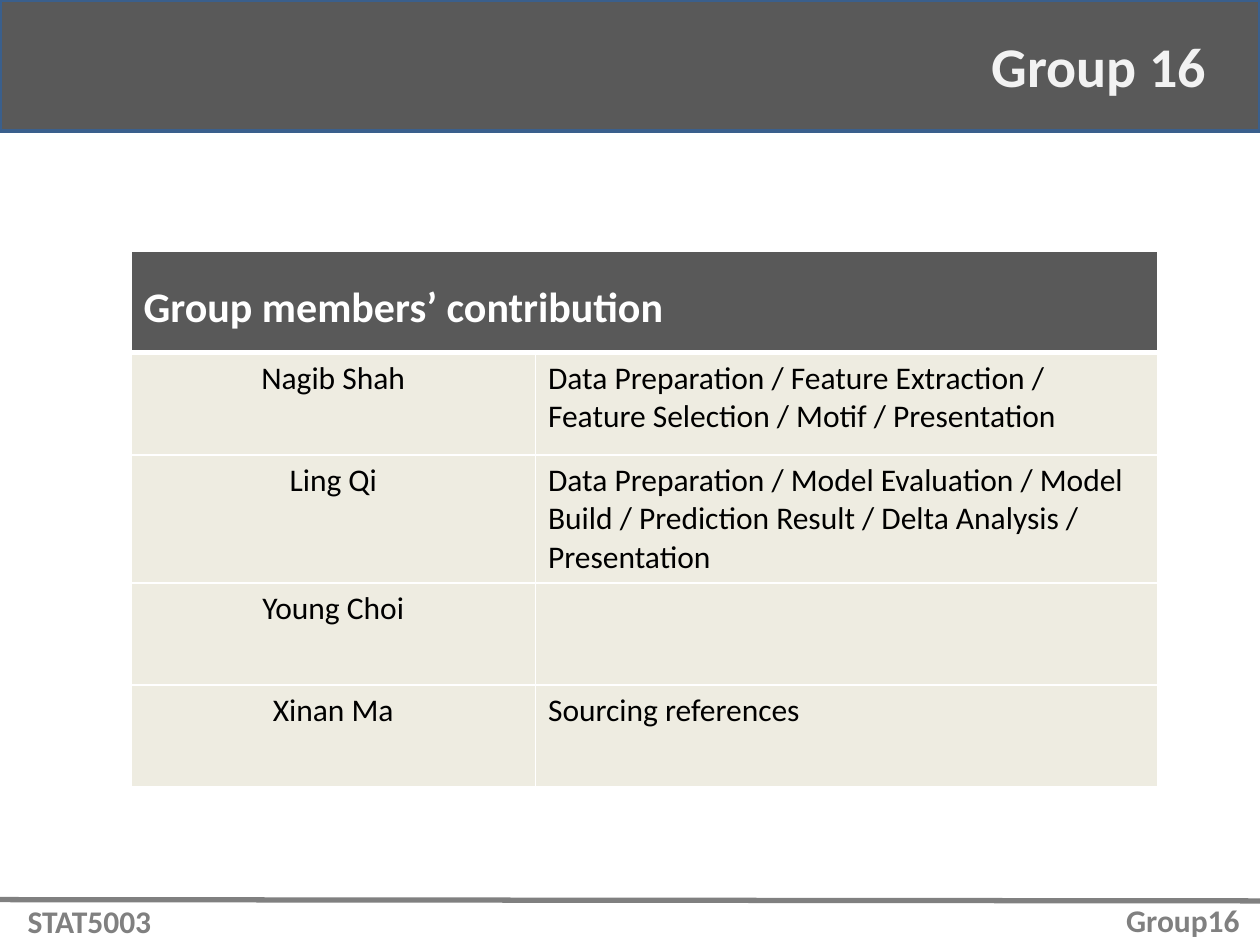
from lxml.etree import SubElement
from pptx import Presentation
from pptx.dml.color import RGBColor
from pptx.enum.shapes import MSO_CONNECTOR, MSO_SHAPE
from pptx.enum.text import MSO_ANCHOR, MSO_AUTO_SIZE, PP_ALIGN
from pptx.oxml import parse_xml
from pptx.oxml.ns import nsdecls, qn
from pptx.util import Inches, Pt

DARK, GREY, CREAM, WHITE = "595959", "808080", "EEECE1", "FFFFFF"
MEMBERS = [
    ("Nagib Shah", "Data Preparation / Feature Extraction / "
                   "Feature Selection / Motif / Presentation"),
    ("Ling Qi", "Data Preparation / Model Evaluation / Model Build / "
                "Prediction Result / Delta Analysis / Presentation"),
    ("Young Choi", ""),
    ("Xinan Ma", "Sourcing references"),
]
COLUMN_WIDTHS = (3.21, 4.94)
ROW_HEIGHTS = (0.81, 0.81, 1, 0.81, 0.81)


def rgb(color):
    return RGBColor.from_string(color)


def inches(*lengths):
    return [Inches(length) for length in lengths]


def write(tf, text, color, align=PP_ALIGN.LEFT, **font):
    p = tf.paragraphs[0]
    p.alignment = align
    r = p.add_run()
    r.text = text
    r.font.color.rgb = rgb(color)
    for name, value in {"name": "Calibri", **font}.items():
        setattr(r.font, name, value)
    return p


def add_band(slide):
    sp = slide.shapes.add_shape(MSO_SHAPE.RECTANGLE, *inches(0, 0, 10, 1.04))
    sp.shadow.inherit = False
    sp.fill.solid()
    sp.fill.fore_color.rgb = rgb(DARK)
    sp.line.color.rgb = rgb("3A5F8C")
    sp.line.width = Pt(2)
    # Keep the band behind the title
    slide.shapes._spTree.insert(2, sp._element)


def add_title(slide, text):
    title = slide.shapes.title
    title.left, title.top, title.width, title.height = inches(7.77, 0.2, 2.04, 0.64)
    tf = title.text_frame
    tf.auto_size = MSO_AUTO_SIZE.NONE
    tf.vertical_anchor = MSO_ANCHOR.TOP
    write(tf, text, "F2F2F2", size=Pt(32), bold=True)


def add_rule(slide):
    line = slide.shapes.add_connector(MSO_CONNECTOR.STRAIGHT, *inches(0, 7.14, 10.07, 7.15))
    line.line.color.rgb = rgb(GREY)
    line.line.width = Pt(3)
    SubElement(line._element.spPr, qn("a:effectLst"))


def add_label(slide, text, left, top, width):
    box = slide.shapes.add_textbox(*inches(left, top, width, 0.4))
    tf = box.text_frame
    tf.word_wrap = True
    write(tf, text, GREY, size=Pt(18), bold=True)


def format_cell(cell, fill, bottom=1):
    cell.fill.solid()
    cell.fill.fore_color.rgb = rgb(fill)
    tcPr = cell._tc.get_or_add_tcPr()
    # Borders come before the fill
    for i, (side, width) in enumerate(zip("LRTB", (1, 1, 1, bottom))):
        tcPr.insert(i, parse_xml(
            f'<a:ln{side} {nsdecls("a")} w="{Pt(width)}"><a:solidFill>'
            f'<a:srgbClr val="{WHITE}"/></a:solidFill></a:ln{side}>'))


def add_contributions(slide):
    table = slide.shapes.add_table(
        len(ROW_HEIGHTS), len(COLUMN_WIDTHS),
        *inches(1.04, 1.99, sum(COLUMN_WIDTHS), sum(ROW_HEIGHTS))).table
    for column, width in zip(table.columns, COLUMN_WIDTHS):
        column.width = Inches(width)
    for row, height in zip(table.rows, ROW_HEIGHTS):
        row.height = Inches(height)

    # Header across both columns
    header = table.cell(0, 0)
    header.merge(table.cell(0, 1))
    for cell in table.rows[0].cells:
        format_cell(cell, DARK, bottom=3)
    p = write(header.text_frame, "Group members’ contribution", WHITE,
              size=Pt(24), bold=True)
    p.line_spacing = 1.5

    # One row for each member
    for row, member in enumerate(MEMBERS, 1):
        for col, (text, align) in enumerate(zip(member, (PP_ALIGN.CENTER, PP_ALIGN.LEFT))):
            cell = table.cell(row, col)
            format_cell(cell, CREAM)
            if text:
                write(cell.text_frame, text, "000000", align, size=Pt(18), bold=False)


def main():
    prs = Presentation()
    prs.slide_width, prs.slide_height = inches(10, 7.5)
    slide = prs.slides.add_slide(prs.slide_layouts[5])
    add_band(slide)
    add_title(slide, "Group 16")
    add_contributions(slide)
    # Footer
    add_rule(slide)
    add_label(slide, "Group16", 8.84, 7.1, 1.16)
    add_label(slide, "STAT5003", 0.12, 7.11, 1.32)
    prs.save("out.pptx")


if __name__ == "__main__":
    main()
